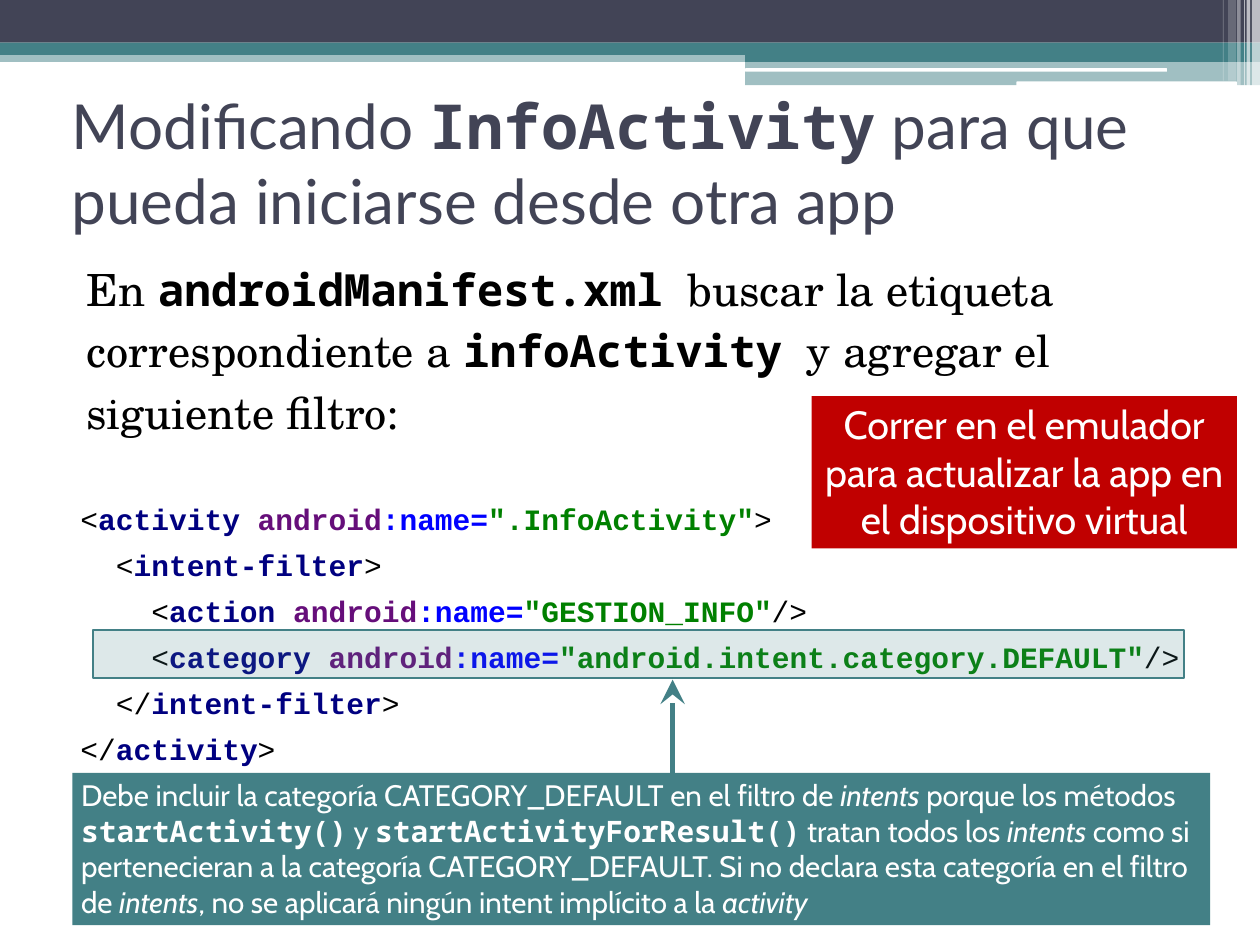
from dataclasses import dataclass, field
from lxml import etree
from pptx import Presentation
from pptx import util as u
from pptx.dml.color import RGBColor
from pptx.enum import shapes, text
from pptx.oxml import ns

TEAL = RGBColor(0x43, 0x80, 0x86)
SLATE = RGBColor(0x42, 0x44, 0x56)
WHITE = RGBColor(0xFF, 0xFF, 0xFF)
BLACK = RGBColor(0, 0, 0)
RED = RGBColor(0xC0, 0, 0)
NAVY = RGBColor(0, 0, 0x80)
PLUM = RGBColor(0x66, 0x0E, 0x7A)
BLUE = RGBColor(0, 0, 0xFF)
GREEN = RGBColor(0, 0x80, 0)

WIDTH, HEIGHT = 1023.75, 767.75
SANS, SERIF, MONO = "Lato", "TeX Gyre Schola", "Noto Sans Mono"
CODE, LABEL = "Courier New", "Cabin"
RECT = shapes.MSO_SHAPE.RECTANGLE
ROUND = shapes.MSO_SHAPE.ROUNDED_RECTANGLE
TOP, MID = text.MSO_ANCHOR.TOP, text.MSO_ANCHOR.MIDDLE
LEFT, CENTER = text.PP_ALIGN.LEFT, text.PP_ALIGN.CENTER
GROW = text.MSO_AUTO_SIZE.SHAPE_TO_FIT_TEXT
FIXED = text.MSO_AUTO_SIZE.NONE


@dataclass
class Box:
    left: float
    top: float
    width: float
    height: float
    fill: RGBColor
    alpha: int = 100
    kind: shapes.MSO_SHAPE = RECT


@dataclass
class Span:
    text: str
    form: dict = field(default_factory=dict)


def child(parent, tag: str, **attrs):
    return etree.SubElement(parent, ns.qn(tag), **attrs)


def draw(slide, box: Box):
    shape = slide.shapes.add_shape(
        box.kind, u.Pt(box.left), u.Pt(box.top), u.Pt(box.width), u.Pt(box.height))
    shape.shadow.inherit = False
    shape.line.fill.background()
    shape.fill.solid()
    shape.fill.fore_color.rgb = box.fill
    if box.alpha < 100:
        color = shape._element.spPr.find(".//" + ns.qn("a:srgbClr"))
        child(color, "a:alpha", val=str(box.alpha * 1000))
    return shape


def put(para, words: str, *, size: float, font: str, color: RGBColor,
        bold: bool = False, italic: bool = False) -> None:
    for row, line in enumerate(words.split("\n")):
        if row:
            para.add_line_break()
        if line:
            run = para.add_run()
            run.text = line
            run.font.size = u.Pt(size)
            run.font.name = font
            run.font.color.rgb = color
            run.font.bold = bold
            run.font.italic = italic


def write(shape, spans: list[Span], anchor=TOP, align=LEFT, fit=GROW, **base):
    frame = shape.text_frame
    frame.word_wrap = True
    frame.auto_size = fit
    frame.vertical_anchor = anchor
    para = frame.paragraphs[0]
    para.alignment = align
    for span in spans:
        put(para, span.text, **{**base, **span.form})
    return para


def place(shape, left: float, top: float, width: float, height: float) -> None:
    shape.left, shape.top = u.Pt(left), u.Pt(top)
    shape.width, shape.height = u.Pt(width), u.Pt(height)


def mono(words: str) -> Span:
    return Span(words, {"font": MONO, "bold": True})


def slant(words: str) -> Span:
    return Span(words, {"italic": True})


def tint(words: str, color: RGBColor) -> Span:
    return Span(words, {"color": color, "bold": True})


def named(tag: str, value: str) -> list[Span]:
    return [tint(tag + " ", NAVY), tint("android", PLUM),
            tint(":name=", BLUE), tint(f'"{value}"', GREEN)]


BARS = [
    Box(0, 41, WIDTH, 9.4, TEAL, 50),
    Box(0, 0, WIDTH, 34.6, SLATE),
    Box(0, 34.6, WIDTH, 10.1, TEAL),
    Box(605.5, 40.3, 418.25, 10.1, TEAL),
    Box(605.5, 49, 418.25, 20.2, TEAL, 50),
    Box(605.5, 55.4, 342.7, 2.9, WHITE, kind=ROUND),
    Box(825.8, 66.2, 179.3, 4.3, WHITE, kind=ROUND),
]
STRIPES = [
    (1017.25, 6.5, 69.8, 65), (1013, 2.9, 69.8, 65), (1010.9, 0.7, 69.8, 60),
    (1005.1, 2.9, 69.8, 40), (997.9, 6.5, 65.5, 20), (993.6, 0.7, 65.5, 30),
]
TITLE = [Span("Modificando "), mono("InfoActivity"),
         Span(" para que pueda iniciarse desde otra app")]
INTRO = [Span("En "), mono("androidManifest.xml"),
         Span("  buscar la etiqueta correspondiente a "), mono("infoActivity"),
         Span("  y agregar el siguiente filtro:")]
FILTER = [
    Span("<"), *named("activity", ".InfoActivity"),
    Span(">\n  <"), tint("intent-filter", NAVY),
    Span(">\n    <"), *named("action", "GESTION_INFO"),
    Span("/>\n    <"), *named("category", "android.intent.category.DEFAULT"),
    Span("/>\n  </"), tint("intent-filter", NAVY),
    Span(">\n</"), tint("activity", NAVY), Span(">"),
]
NOTE = [
    Span("Debe incluir la categoría CATEGORY_DEFAULT en el filtro de "),
    slant("intents"), Span(" porque los métodos "), mono("startActivity()"),
    Span(" y "), mono("startActivityForResult()"), Span(" tratan todos los "),
    slant("intents"),
    Span(" como si pertenecieran a la categoría CATEGORY_DEFAULT. "
         "Si no declara esta categoría en el filtro de "),
    slant("intents"), Span(", no se aplicará ningún intent implícito a la "),
    slant("activity"),
]
ALERT = [Span("Correr en el emulador para actualizar la app en el dispositivo virtual")]


def arrow(slide, x: float, start: float, end: float) -> None:
    line = slide.shapes.add_connector(
        shapes.MSO_CONNECTOR.STRAIGHT, u.Pt(x), u.Pt(start), u.Pt(x), u.Pt(end))
    line.line.color.rgb = TEAL
    line.line.width = u.Pt(4)
    child(line.line._get_or_add_ln(), "a:tailEnd", type="stealth", w="lg", len="lg")
    child(line._element.spPr, "a:effectLst")


def main() -> None:
    deck = Presentation()
    deck.slide_width, deck.slide_height = u.Pt(WIDTH), u.Pt(HEIGHT)
    slide = deck.slides.add_slide(deck.slide_layouts[1])

    for bar in BARS:
        draw(slide, bar)
    for left, width, height, alpha in STRIPES:
        draw(slide, Box(left, 0, width, height, WHITE, alpha))

    title, body = slide.placeholders
    place(title, 51, 72, 921.6, 119.5)
    write(title, TITLE, MID, fit=FIXED, size=50.4, font=SANS, color=SLATE)

    place(body, 51, 202.5, 920.2, 170)
    para = write(body, INTRO, fit=FIXED, size=36, font=SERIF, color=BLACK)
    para.line_spacing = u.Pt(50)
    para.space_before = u.Pt(0)
    props = para._p.get_or_add_pPr()
    props.set("marL", str(u.Pt(12)))
    props.set("indent", "0")
    child(props, "a:buNone")

    code = draw(slide, Box(58.3, 393.3, 924.5, 234, WHITE))
    para = write(code, FILTER, MID, size=24, font=CODE, color=BLACK)
    para.line_spacing = 1.3

    arrow(slide, 546.5, 641.5, 552.2)
    note = draw(slide, Box(58.8, 627.9, 924.5, 123.8, TEAL))
    write(note, NOTE, size=24, font=LABEL, color=WHITE)

    mark = draw(slide, Box(75.6, 512, 886.3, 38.9, TEAL, 18))
    mark.line.color.rgb = TEAL
    mark.line.width = u.Pt(1.5)

    alert = draw(slide, Box(659.5, 321.8, 345.6, 123.8, RED))
    write(alert, ALERT, align=CENTER, size=32, font=LABEL, color=WHITE)

    deck.save("out.pptx")


if __name__ == "__main__":
    main()
